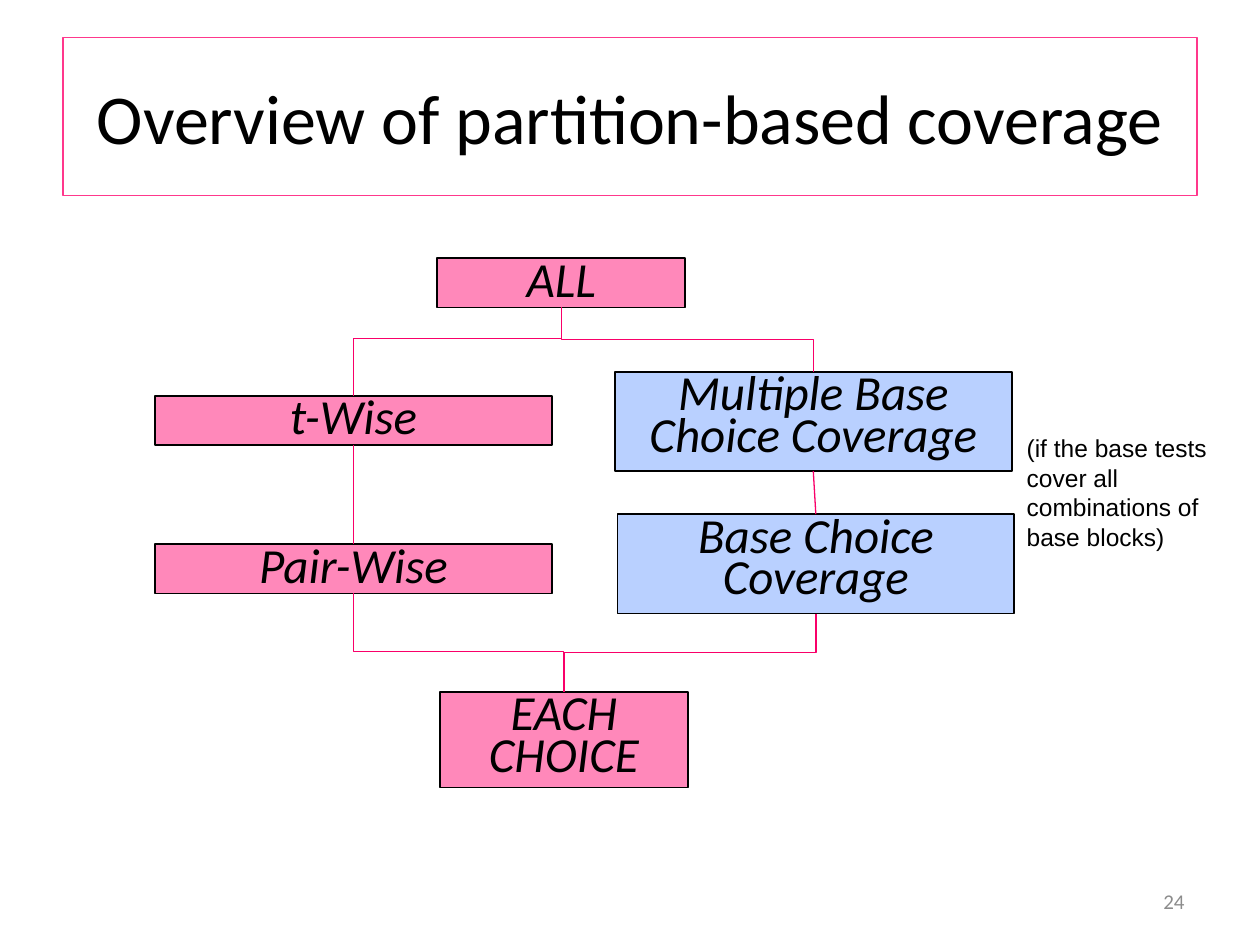
from dataclasses import dataclass
from typing import Optional

from lxml.etree import SubElement
from pptx import Presentation
from pptx.dml.color import RGBColor as RGB
from pptx.enum.shapes import MSO_CONNECTOR as CONN, MSO_SHAPE as SHAPE
from pptx.enum.text import MSO_ANCHOR as ANCHOR, PP_ALIGN as ALIGN
from pptx.oxml.ns import qn
from pptx.util import Inches, Pt


@dataclass(frozen=True)
class Theme:
    black: RGB = RGB(0, 0, 0)
    grey: RGB = RGB(0x8C, 0x8C, 0x8C)
    pink: RGB = RGB(0xFF, 0x88, 0xBA)
    blue: RGB = RGB(0xB9, 0xD0, 0xFF)
    frame: RGB = RGB(0xFF, 0x38, 0x8C)
    link: RGB = RGB(0xF9, 0x00, 0x69)
    font: str = "Calibri"
    note_font: str = "Arial"
    title_size: int = 40
    box_size: int = 28
    note_size: int = 14
    number_size: int = 12


THEME = Theme()


@dataclass(frozen=True)
class Box:
    name: str
    left: float
    top: float
    width: float
    height: float
    fill: RGB


@dataclass(frozen=True)
class Link:
    start: str
    end: str
    bend: Optional[float] = None


WIDE, NARROW = 3.15, 1.97
ONE_LINE, TWO_LINES = 0.39, 0.79

BOXES = [
    Box("EACH CHOICE", 3.49, 5.49, NARROW, 0.76, THEME.pink),
    Box("ALL", 3.47, 2.05, NARROW, ONE_LINE, THEME.pink),
    Box("t-Wise", 1.23, 3.14, WIDE, ONE_LINE, THEME.pink),
    Box("Multiple Base Choice Coverage", 4.88, 2.95, WIDE, TWO_LINES, THEME.blue),
    Box("Pair-Wise", 1.23, 4.32, WIDE, ONE_LINE, THEME.pink),
    Box("Base Choice Coverage", 4.9, 4.08, WIDE, TWO_LINES, THEME.blue),
]

LINKS = [
    Link("ALL", "Multiple Base Choice Coverage", 0.5),
    Link("ALL", "t-Wise", 0.35),
    Link("t-Wise", "Pair-Wise"),
    Link("Multiple Base Choice Coverage", "Base Choice Coverage"),
    Link("Pair-Wise", "EACH CHOICE", 0.59),
    Link("Base Choice Coverage", "EACH CHOICE", 0.5),
]


def write(sp, text: str, size: int, color: RGB, align: ALIGN, anchor: ANCHOR,
          font: str = THEME.font, italic: bool = False):
    tf = sp.text_frame
    tf.word_wrap = True
    tf.vertical_anchor = anchor
    p = tf.paragraphs[0]
    p.alignment = align
    r = p.add_run()
    r.text = text
    r.font.name = font
    r.font.size = Pt(size)
    r.font.italic = italic
    r.font.color.rgb = color
    return p


def place(sp, left: float, top: float, width: float, height: float) -> None:
    sp.left, sp.top = Inches(left), Inches(top)
    sp.width, sp.height = Inches(width), Inches(height)


def add_box(s, box: Box):
    sp = s.shapes.add_shape(SHAPE.RECTANGLE, Inches(box.left), Inches(box.top),
                            Inches(box.width), Inches(box.height))
    sp.shadow.inherit = False
    sp.fill.solid()
    sp.fill.fore_color.rgb = box.fill
    sp.line.color.rgb = THEME.black
    sp.line.width = Pt(1)
    p = write(sp, box.name, THEME.box_size, THEME.black, ALIGN.CENTER, ANCHOR.TOP, italic=True)
    p.line_spacing = 0.7
    return sp


def turn_elbow(c, bend: float) -> None:
    x1, y1, x2, y2 = c.begin_x, c.begin_y, c.end_x, c.end_y
    across, down = abs(x2 - x1), y2 - y1
    xfrm = c._element.spPr.find(qn("a:xfrm"))
    xfrm.attrib.clear()
    c.left, c.top = (x1 + x2 - down) // 2, (y1 + y2 - across) // 2
    c.width, c.height = down, across
    if x2 > x1:
        xfrm.set("flipH", "1")
    xfrm.set("rot", str((270 if x2 > x1 else 90) * 60000))
    geom = c._element.spPr.find(qn("a:prstGeom"))
    guides = geom.find(qn("a:avLst"))
    if guides is None:
        guides = SubElement(geom, qn("a:avLst"))
    SubElement(guides, qn("a:gd"), name="adj1", fmla=f"val {round(bend * 100000)}")


def add_link(s, link: Link, shapes: dict) -> None:
    kind = CONN.STRAIGHT if link.bend is None else CONN.ELBOW
    c = s.shapes.add_connector(kind, 0, 0, 0, 0)
    c.begin_connect(shapes[link.start], 2)
    c.end_connect(shapes[link.end], 0)
    if link.bend is not None:
        turn_elbow(c, link.bend)
    c.line.color.rgb = THEME.link
    c.line.width = Pt(0.75)
    SubElement(c._element.spPr, qn("a:effectLst"))


def add_text(s, left: float, top: float, width: float, height: float):
    return s.shapes.add_textbox(Inches(left), Inches(top), Inches(width), Inches(height))


def main() -> None:
    prs = Presentation()
    prs.slide_width, prs.slide_height = Inches(10), Inches(7.5)
    s = prs.slides.add_slide(prs.slide_layouts[5])

    title = s.shapes.title
    place(title, 0.5, 0.3, 9, 1.25)
    title.line.color.rgb = THEME.frame
    title.line.width = Pt(0.75)
    write(title, "Overview of partition-based coverage", THEME.title_size,
          THEME.black, ALIGN.CENTER, ANCHOR.MIDDLE)

    write(add_text(s, 7.17, 6.95, 2.33, 0.4), "24", THEME.number_size,
          THEME.grey, ALIGN.RIGHT, ANCHOR.MIDDLE)

    shapes = {box.name: add_box(s, box) for box in BOXES}
    for link in LINKS:
        add_link(s, link, shapes)

    write(add_text(s, 8.05, 3.39, 1.76, 1.04),
          "(if the base tests cover all combinations of base blocks)",
          THEME.note_size, THEME.black, ALIGN.LEFT, ANCHOR.TOP, THEME.note_font)

    prs.save("out.pptx")


if __name__ == "__main__":
    main()
